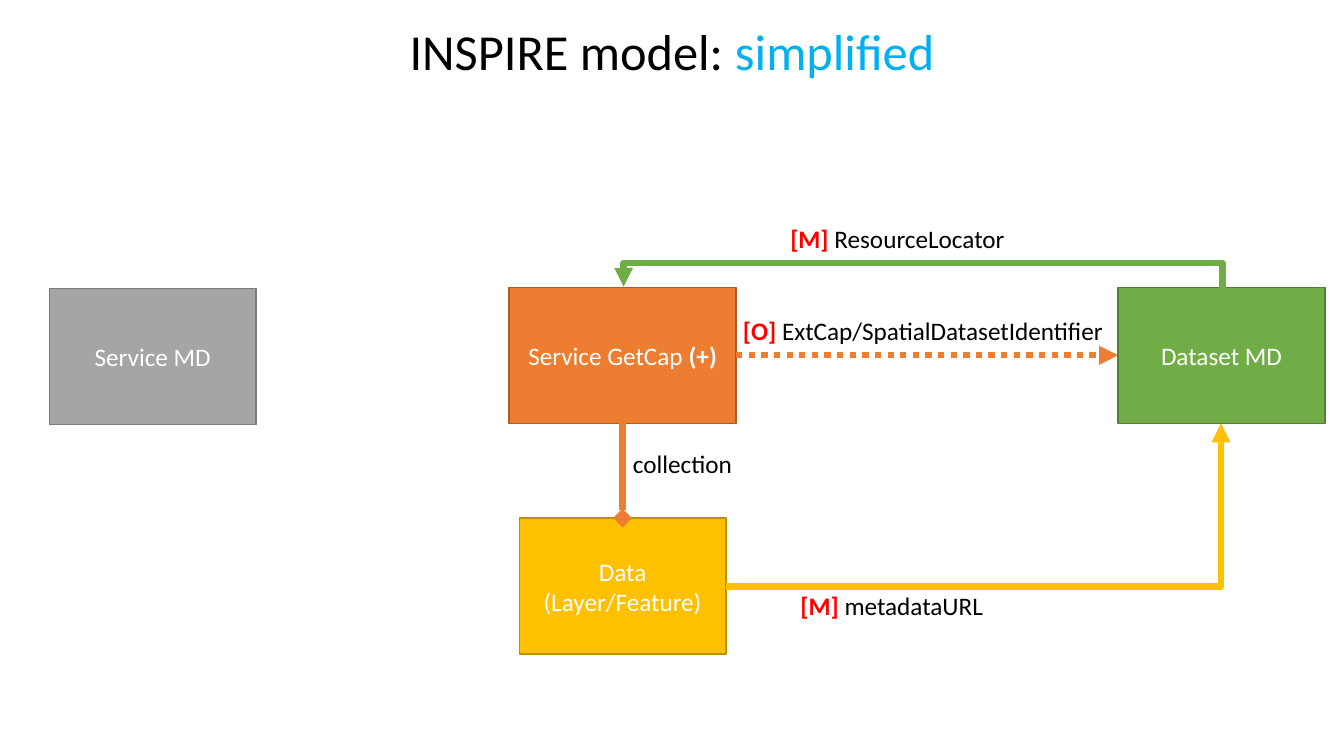
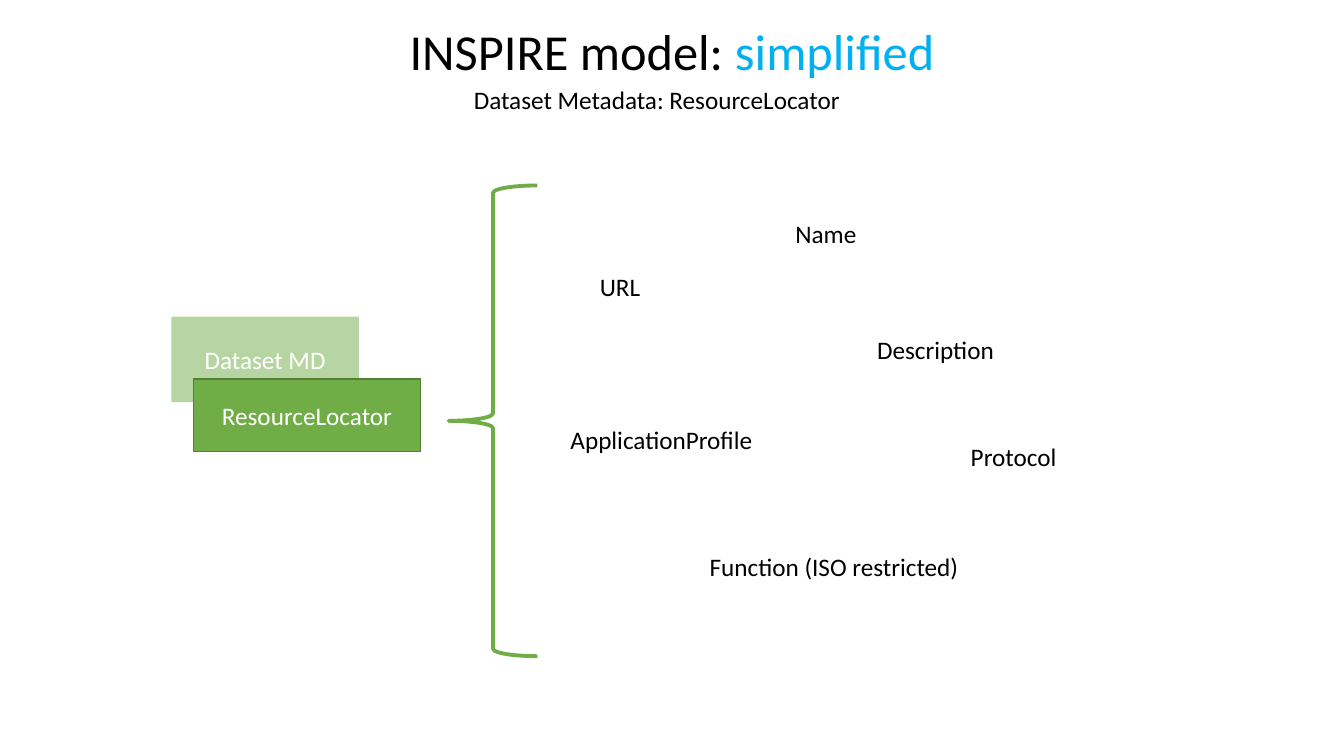
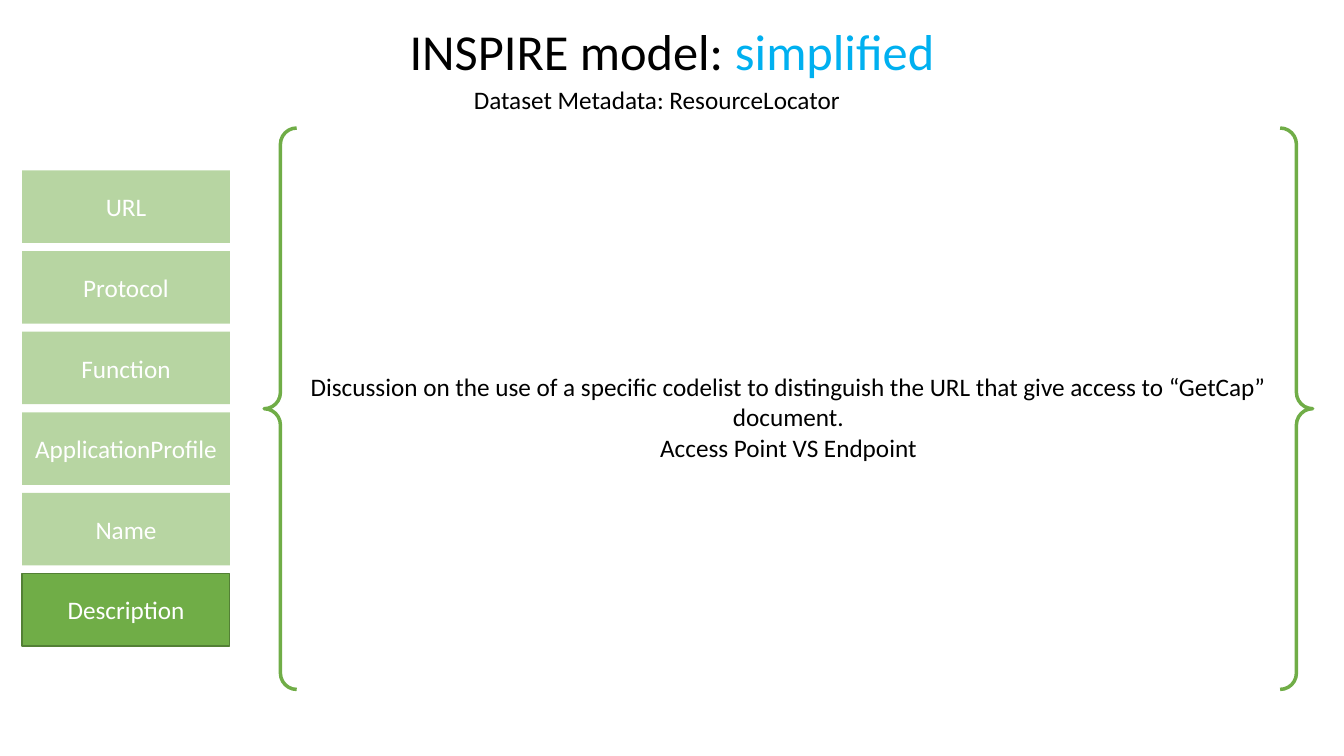
from dataclasses import dataclass
from lxml import etree
from pptx import Presentation
from pptx.dml.color import RGBColor
from pptx.enum.dml import MSO_LINE
from pptx.enum.shapes import MSO_CONNECTOR, MSO_SHAPE
from pptx.enum.text import MSO_ANCHOR, MSO_AUTO_SIZE, PP_ALIGN
from pptx.oxml.ns import qn
from pptx.util import Inches, Pt

RECT, LEFT_BRACE, BRACE_PAIR = MSO_SHAPE.RECTANGLE, MSO_SHAPE.LEFT_BRACE, MSO_SHAPE.DOUBLE_BRACE
STRAIGHT, ELBOW = MSO_CONNECTOR.STRAIGHT, MSO_CONNECTOR.ELBOW
DOTTED = MSO_LINE.ROUND_DOT
LEFT, CENTER = PP_ALIGN.LEFT, PP_ALIGN.CENTER
TOP, MIDDLE = MSO_ANCHOR.TOP, MSO_ANCHOR.MIDDLE
GROW = MSO_AUTO_SIZE.SHAPE_TO_FIT_TEXT
TITLE_ONLY = 5
SITE_TOP, SITE_LEFT, SITE_BOTTOM, SITE_RIGHT = range(4)


@dataclass(frozen=True)
class Theme:
    font: str = "Calibri"
    title: int = 36
    body: int = 18
    arrow: float = 4.5
    black: str = "000000"
    white: str = "FFFFFF"
    accent: str = "00B0F0"
    tag: str = "FF0000"
    gray: tuple = ("A5A5A5", "7A7A7A")
    orange: tuple = ("ED7D31", "AF5C24")
    yellow: tuple = ("FFC000", "BD8E00")
    green: tuple = ("70AD47", "538035")


@dataclass(frozen=True)
class Box:
    x: float
    y: float
    w: float
    h: float

    def at(self, dx, dy, w, h):
        return Box(self.x + dx, self.y + dy, w, h)

    def emu(self):
        return [Inches(round(v, 2)) for v in (self.x, self.y, self.w, self.h)]


T = Theme()
TITLE_BOX = Box(3.83, 0.15, 5.67, 0.71)
SUBTITLE_BOX = Box(4.58, 0.79, 3.87, 0.4)


def rgb(value):
    return RGBColor.from_string(value)


def add_run(p, text, color=T.black, size=T.body, bold=False):
    r = p.add_run()
    r.text = text
    r.font.name, r.font.size, r.font.bold = T.font, Pt(size), bold
    r.font.color.rgb = rgb(color)


def add_label(s, box, text, tag=None, align=LEFT):
    tf = s.shapes.add_textbox(*box.emu()).text_frame
    tf.word_wrap, tf.auto_size = False, GROW
    p = tf.paragraphs[0]
    p.alignment = align
    if tag:
        add_run(p, tag + " ", T.tag, bold=True)
    add_run(p, text)


def add_panel(shapes, box, colors, text, bold_text=None, faded=False):
    sp = shapes.add_shape(RECT, *box.emu())
    sp.shadow.inherit = False
    fill, edge = colors
    sp.fill.solid()
    sp.fill.fore_color.rgb = rgb(fill)
    if faded:
        color = sp.element.spPr.find(".//" + qn("a:srgbClr"))
        etree.SubElement(color, qn("a:alpha")).set("val", "50000")
        sp.line.fill.background()
    else:
        sp.line.color.rgb = rgb(edge)
        sp.line.width = Pt(1)
    tf = sp.text_frame
    tf.word_wrap, tf.vertical_anchor = True, MIDDLE
    p = tf.paragraphs[0]
    p.alignment = CENTER
    add_run(p, text, T.white)
    if bold_text:
        add_run(p, bold_text, T.white, bold=True)
    return sp


def add_brace(s, box, kind, width):
    sp = s.shapes.add_shape(kind, *box.emu())
    sp.shadow.inherit = False
    sp.fill.background()
    sp.line.color.rgb = rgb(T.green[0])
    sp.line.width = Pt(width)
    return sp


def style_arrow(cx, color, head):
    cx.line.color.rgb = rgb(color)
    cx.line.width = Pt(T.arrow)
    ln = cx.line._get_or_add_ln()
    etree.SubElement(ln, qn("a:tailEnd")).set("type", head)
    etree.SubElement(cx.element.spPr, qn("a:effectLst"))


def add_link(s, start, start_site, end, end_site, color, head="triangle", dash=None):
    cx = s.shapes.add_connector(STRAIGHT, 0, 0, 0, 0)
    cx.begin_connect(start, start_site)
    cx.end_connect(end, end_site)
    if dash:
        cx.line.dash_style = dash
    style_arrow(cx, color, head)


def add_elbow(s, box, color, preset, rotation=0, bend=None):
    x, y, w, h = box.emu()
    cx = s.shapes.add_connector(ELBOW, x, y + h, x + w, y)
    spPr = cx.element.spPr
    spPr.find(qn("a:xfrm")).set("rot", str(rotation * 60000))
    geom = spPr.find(qn("a:prstGeom"))
    geom.set("prst", preset)
    if bend:
        guide = etree.SubElement(geom.find(qn("a:avLst")), qn("a:gd"))
        guide.set("name", "adj1")
        guide.set("fmla", f"val {bend * 100000}")
    style_arrow(cx, color, "triangle")


def new_slide(prs, subtitle=None):
    s = prs.slides.add_slide(prs.slide_layouts[TITLE_ONLY])
    title = s.shapes.title
    title.left, title.top, title.width, title.height = TITLE_BOX.emu()
    tf = title.text_frame
    tf.word_wrap, tf.auto_size, tf.vertical_anchor = False, GROW, TOP
    p = tf.paragraphs[0]
    p.alignment = CENTER
    add_run(p, "INSPIRE model: ", size=T.title)
    add_run(p, "simplified", T.accent, T.title)
    if subtitle:
        add_label(s, SUBTITLE_BOX, subtitle, align=CENTER)
    return s


def model_diagram(s, box):
    w, h = 2.05, 1.35
    add_panel(s.shapes, box.at(0, 0.69, w, h), T.gray, "Service MD")
    service = add_panel(s.shapes, box.at(4.56, 0.68, 2.25, h), T.orange, "Service GetCap ", "(+)")
    data = add_panel(s.shapes, box.at(4.66, 2.97, w, h), T.yellow, "Data (Layer/Feature)")
    dataset = add_panel(s.shapes, box.at(10.6, 0.68, w, h), T.green, "Dataset MD")
    add_link(s, service, SITE_RIGHT, dataset, SITE_LEFT, T.orange[0], dash=DOTTED)
    add_link(s, service, SITE_BOTTOM, data, SITE_TOP, T.orange[0], "diamond")
    add_elbow(s, box.at(8.66, -2.29, 0.01, 5.94), T.green[0], "bentConnector3", 270, 25)
    add_elbow(s, box.at(6.71, 2.03, 4.91, 1.62), T.yellow[0], "bentConnector2")
    for dx, dy, width, tag, text in (
        (7.25, 0, 2.34, "[M]", "ResourceLocator"),
        (7.35, 3.64, 2.02, "[M]", "metadataURL"),
        (5.69, 2.23, 1.2, None, "collection"),
        (6.78, 0.91, 3.85, "[O]", "ExtCap/SpatialDatasetIdentifier"),
    ):
        add_label(s, box.at(dx, dy, width, 0.4), text, tag)


def locator_panels(s, box):
    add_panel(s.shapes, box.at(0, 0, 1.86, 0.85), T.green, "Dataset MD", faded=True)
    add_panel(s.shapes, box.at(0.22, 0.62, 2.25, 0.72), T.green, "ResourceLocator")


def locator_fields(s, box):
    add_brace(s, box.at(0, 0, 0.88, box.h), LEFT_BRACE, 2.75)
    for dx, dy, width, text in (
        (1.4, 0.8, 0.61, "URL"),
        (1.11, 2.32, 2.03, "ApplicationProfile"),
        (4.15, 1.43, 1.38, "Description"),
        (3.34, 0.28, 0.81, "Name"),
        (5.08, 2.49, 1.06, "Protocol"),
        (2.49, 3.58, 2.7, "Function (ISO restricted)"),
    ):
        add_label(s, box.at(dx, dy, width, 0.4), text)


def field_menu(s, box, names, active):
    height, gap = 0.72, 0.08
    group = s.shapes.add_group_shape()
    for i, name in enumerate(names):
        row = box.at(0, i * (height + gap), box.w, height)
        add_panel(group.shapes, row, T.green, name, faded=name != active)


def discussion(s, box, lines):
    sp = add_brace(s, box, BRACE_PAIR, 2.5)
    sp.adjustments[0] = 0.029
    tf = sp.text_frame
    tf.word_wrap, tf.vertical_anchor = True, MIDDLE
    for i, line in enumerate(lines):
        p = tf.add_paragraph() if i else tf.paragraphs[0]
        p.alignment = CENTER
        add_run(p, line)


prs = Presentation()
prs.slide_width, prs.slide_height = Inches(13.33), Inches(7.5)
subtitle = "Dataset Metadata: ResourceLocator"

s = new_slide(prs)
model_diagram(s, Box(0.49, 2.17, 12.65, 4.32))

s = new_slide(prs, subtitle)
locator_panels(s, Box(1.7, 3.14, 2.47, 1.34))
locator_fields(s, Box(4.45, 1.84, 6.14, 4.67))

s = new_slide(prs, subtitle)
fields = ["URL", "Protocol", "Function", "ApplicationProfile", "Name", "Description"]
field_menu(s, Box(0.22, 1.69, 2.06, 4.72), fields, "Description")
discussion(s, Box(2.62, 1.27, 10.4, 5.57), [
    "Discussion on the use of a specific codelist to distinguish the URL "
    "that give access to “GetCap” document.",
    "Access Point VS Endpoint",
])

prs.save("out.pptx")
